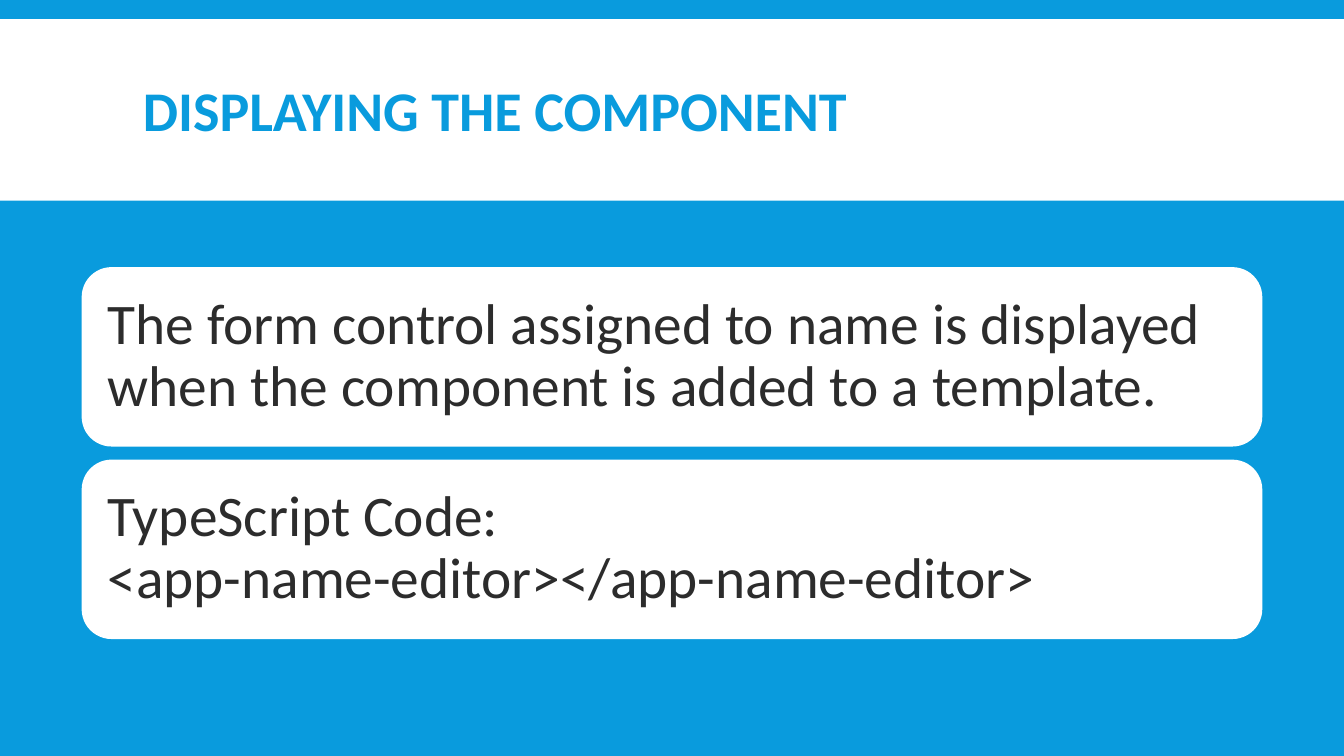
from pptx import Presentation
from pptx.dml.color import RGBColor
from pptx.enum.shapes import MSO_SHAPE
from pptx.enum.text import MSO_ANCHOR, PP_ALIGN
from pptx.util import Inches, Pt

BLUE, WHITE, DARK = "099BDD", "FFFFFF", "2C2C2C"
TITLE = {"size": Pt(40), "bold": True, "name": "Calibri"}
BODY = {"size": Pt(41), "bold": False, "name": "Calibri"}
CARDS = [
    "The form control assigned to name is displayed "
    "when the component is added to a template.",
    "TypeScript Code:\v<app-name-editor></app-name-editor>",
]


def color(code):
    return RGBColor.from_string(code)


def panel(slide, kind, box):
    shape = slide.shapes.add_shape(kind, *map(Inches, box))
    shape.shadow.inherit = False
    shape.fill.solid()
    shape.fill.fore_color.rgb = color(WHITE)
    shape.line.fill.background()
    return shape


def write(shape, text, style, ink, pad, lead):
    frame = shape.text_frame
    frame.word_wrap = True
    frame.vertical_anchor = MSO_ANCHOR.MIDDLE
    for side in ("left", "right", "top", "bottom"):
        setattr(frame, f"margin_{side}", Inches(pad))
    para = frame.paragraphs[0]
    para.text = text
    para.alignment = PP_ALIGN.LEFT
    para.line_spacing = lead
    for key, value in style.items():
        setattr(para.font, key, value)
    para.font.color.rgb = color(ink)


def header(slide, box, text):
    left, top, width, height = box
    panel(slide, MSO_SHAPE.RECTANGLE, box)
    # Title sits inside the white band
    area = (left + 1.32, top + 0.12, width - 2.63, height - 0.15)
    title = slide.shapes.add_textbox(*map(Inches, area))
    write(title, text, TITLE, BLUE, 0.1, 0.85)


def stack(slide, box, texts, gap):
    left, top, width, height = box
    tall = (height - gap * (len(texts) - 1)) / len(texts)
    for i, text in enumerate(texts):
        spot = (left, top + i * (tall + gap), width, tall)
        card = panel(slide, MSO_SHAPE.ROUNDED_RECTANGLE, spot)
        write(card, text, BODY, DARK, 0.17, 0.9)


def main():
    deck = Presentation()
    deck.slide_width, deck.slide_height = Inches(13.33), Inches(7.5)
    slide = deck.slides.add_slide(deck.slide_layouts[6])

    # Blue backdrop
    fill = slide.background.fill
    fill.solid()
    fill.fore_color.rgb = color(BLUE)

    # White title band, then the two text cards
    header(slide, (0, 0.19, 13.33, 1.8), "DISPLAYING THE COMPONENT")
    stack(slide, (0.81, 2.65, 11.71, 3.69), CARDS, 0.13)
    deck.save("out.pptx")


if __name__ == "__main__":
    main()
